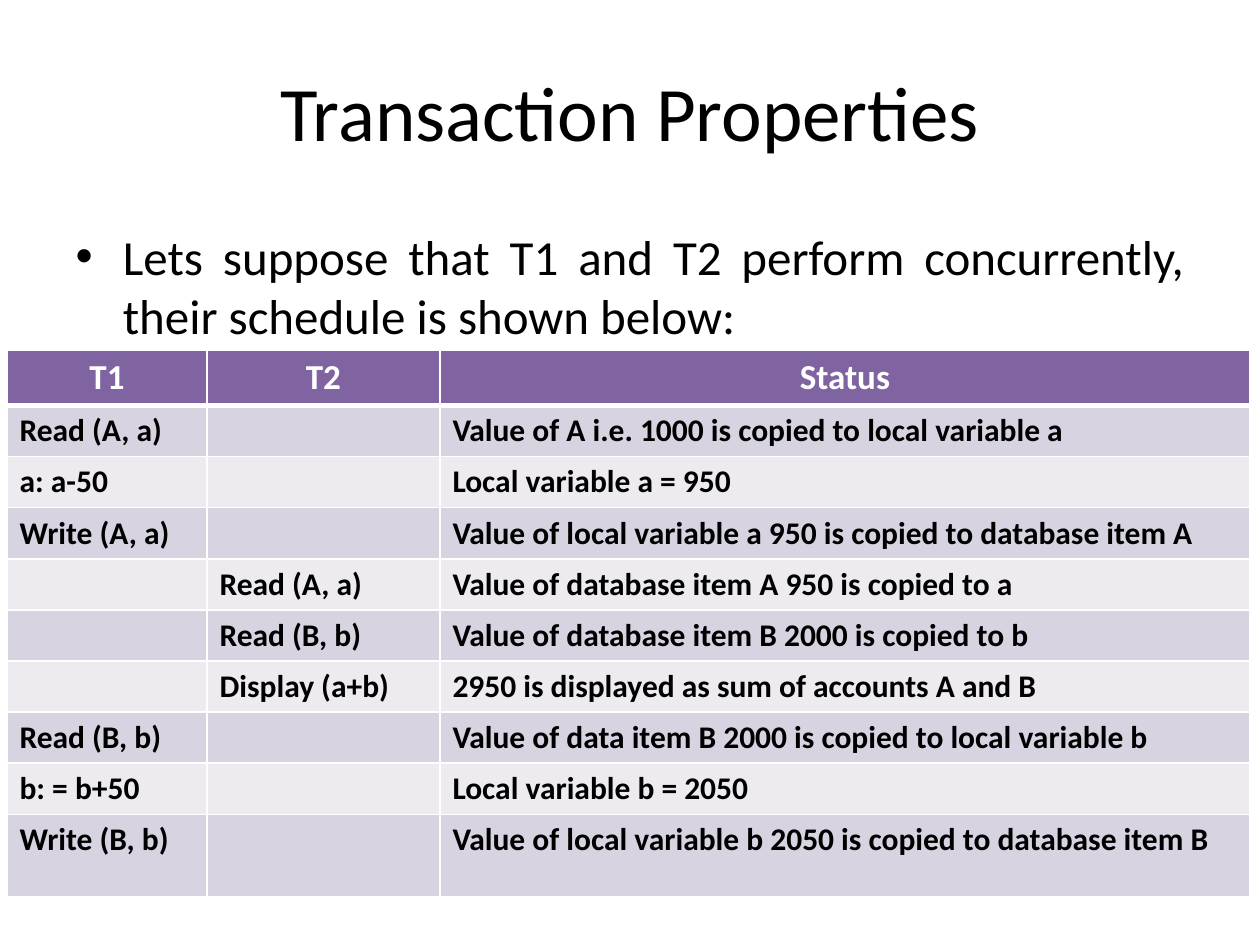
from lxml import etree
from pptx import Presentation
from pptx.dml.color import RGBColor
from pptx.enum.text import MSO_ANCHOR, MSO_AUTO_SIZE, PP_ALIGN
from pptx.oxml.ns import qn
from pptx.util import Emu, Pt

CENTER, JUSTIFY, LEFT = PP_ALIGN.CENTER, PP_ALIGN.JUSTIFY, PP_ALIGN.LEFT
TOP, MIDDLE = MSO_ANCHOR.TOP, MSO_ANCHOR.MIDDLE
NO_FIT = MSO_AUTO_SIZE.NONE

BLACK = RGBColor(0x00, 0x00, 0x00)
WHITE = RGBColor(0xFF, 0xFF, 0xFF)
PURPLE = RGBColor(0x80, 0x64, 0xA2)
DARK_BAND = RGBColor(0xD8, 0xD3, 0xE0)
LIGHT_BAND = RGBColor(0xED, 0xEA, 0xF0)

PX_PER_INCH = 126
FONT = "Calibri"
TITLE_FORMAT = {"name": FONT, "size": Pt(44), "bold": False}
BODY_FORMAT = {"name": FONT, "size": Pt(28), "bold": False}
HEADER_FORMAT = {"name": FONT, "size": Pt(20), "bold": True}
CELL_FORMAT = {"name": FONT, "size": Pt(18), "bold": True}

COLUMN_WIDTHS = [200, 233, 810]
ROW_HEIGHTS = [54] + [51] * 8 + [82]
SCHEDULE = [
    ("T1", "T2", "Status"),
    ("Read (A, a)", "", "Value of A i.e. 1000 is copied to local variable a"),
    ("a: a-50", "", "Local variable a = 950"),
    ("Write (A, a)", "",
     "Value of local variable a 950 is copied to database item A"),
    ("", "Read (A, a)", "Value of database item A 950 is copied to a"),
    ("", "Read (B, b)", "Value of database item B 2000 is copied to b"),
    ("", "Display (a+b)", "2950 is displayed as sum of accounts A and B"),
    ("Read (B, b)", "",
     "Value of data item B 2000 is copied to local variable b"),
    ("b: = b+50", "", "Local variable b = 2050"),
    ("Write (B, b)", "",
     "Value of local variable b 2050 is copied to database item B"),
]


def px(length):
    return Emu(round(length * 914400 / PX_PER_INCH))


def write(frame, text, font_format, color, align):
    """Put one formatted paragraph into a text frame."""
    paragraph = frame.paragraphs[0]
    paragraph.alignment = align
    paragraph.space_before = Pt(0)
    if text:
        paragraph.add_run().text = text
    for font in [paragraph.font] + [span.font for span in paragraph.runs]:
        for name, value in font_format.items():
            setattr(font, name, value)
        font.color.rgb = color


def fill_placeholder(box, bounds, text, font_format, align, anchor):
    box.left, box.top, box.width, box.height = map(px, bounds)
    frame = box.text_frame
    frame.word_wrap = True
    frame.auto_size = NO_FIT
    frame.vertical_anchor = anchor
    write(frame, text, font_format, BLACK, align)


def set_borders(cell, widths):
    """Draw white cell edges; widths maps an edge tag to points."""
    properties = cell._tc.get_or_add_tcPr()
    for tag, width in widths.items():
        line = etree.SubElement(properties, qn(f"a:{tag}"), w=str(Pt(width)))
        fill = etree.SubElement(line, qn("a:solidFill"))
        etree.SubElement(fill, qn("a:srgbClr"), val=str(WHITE))


def style_cell(cell, text, row):
    header = row == 0
    set_borders(cell, {"lnL": 1, "lnR": 1,
                       "lnT": 3 if row == 1 else 1,
                       "lnB": 3 if header else 1})
    cell.fill.solid()
    if header:
        cell.fill.fore_color.rgb = PURPLE
        write(cell.text_frame, text, HEADER_FORMAT, WHITE, CENTER)
    else:
        cell.fill.fore_color.rgb = DARK_BAND if row % 2 else LIGHT_BAND
        write(cell.text_frame, text, CELL_FORMAT, BLACK, LEFT)


def add_schedule(page, left, top):
    bounds = map(px, (left, top, sum(COLUMN_WIDTHS), sum(ROW_HEIGHTS)))
    table = page.shapes.add_table(
        len(SCHEDULE), len(COLUMN_WIDTHS), *bounds).table
    for column, width in zip(table.columns, COLUMN_WIDTHS):
        column.width = px(width)
    for row, height in zip(table.rows, ROW_HEIGHTS):
        row.height = px(height)
    for row, texts in enumerate(SCHEDULE):
        for column, text in enumerate(texts):
            style_cell(table.cell(row, column), text, row)


def main():
    deck = Presentation()
    deck.slide_width, deck.slide_height = px(1260), px(945)
    page = deck.slides.add_slide(deck.slide_layouts[1])

    # Title and introduction
    title, body = page.placeholders
    fill_placeholder(title, (63, 32, 1134, 157), "Transaction Properties",
                     TITLE_FORMAT, CENTER, MIDDLE)
    fill_placeholder(body, (63, 220, 1134, 683),
                     "Lets suppose that T1 and T2 perform concurrently, "
                     "their schedule is shown below:",
                     BODY_FORMAT, JUSTIFY, TOP)

    # Schedule of both transactions
    add_schedule(page, 7, 350)
    deck.save("out.pptx")


if __name__ == "__main__":
    main()
